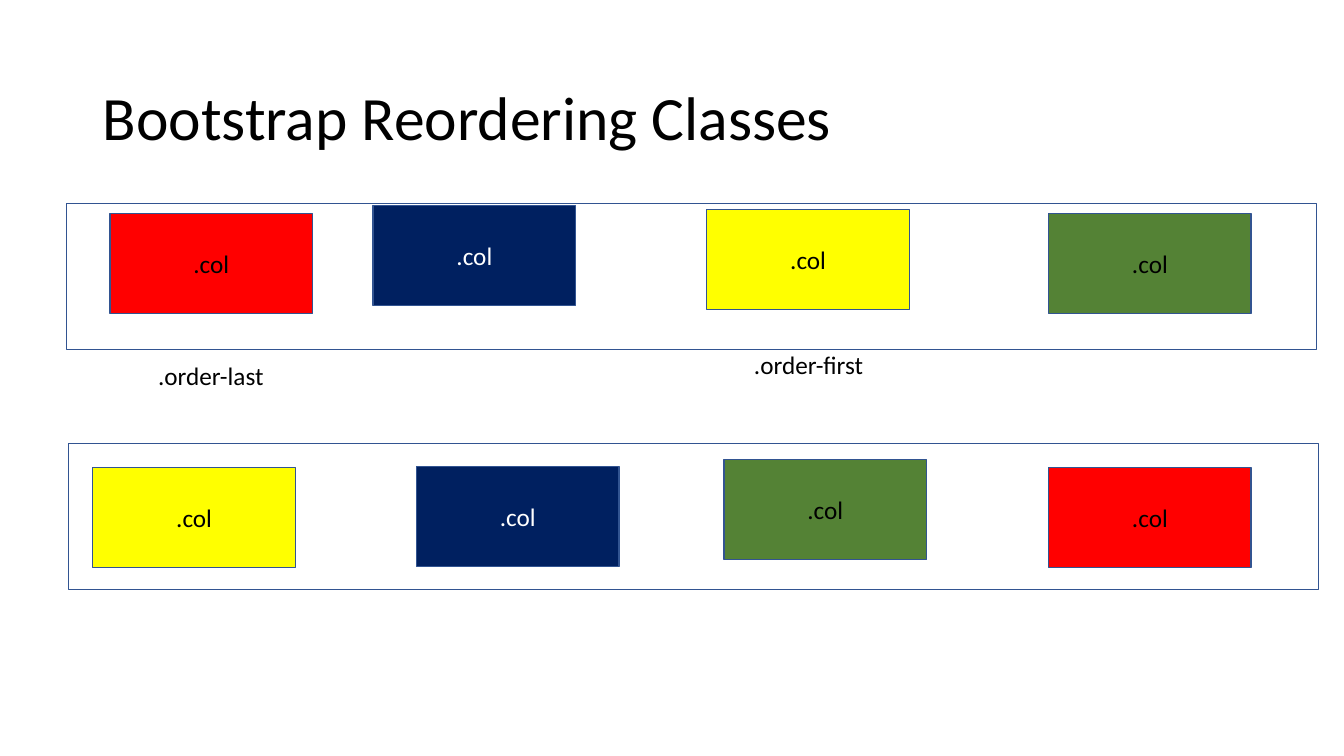
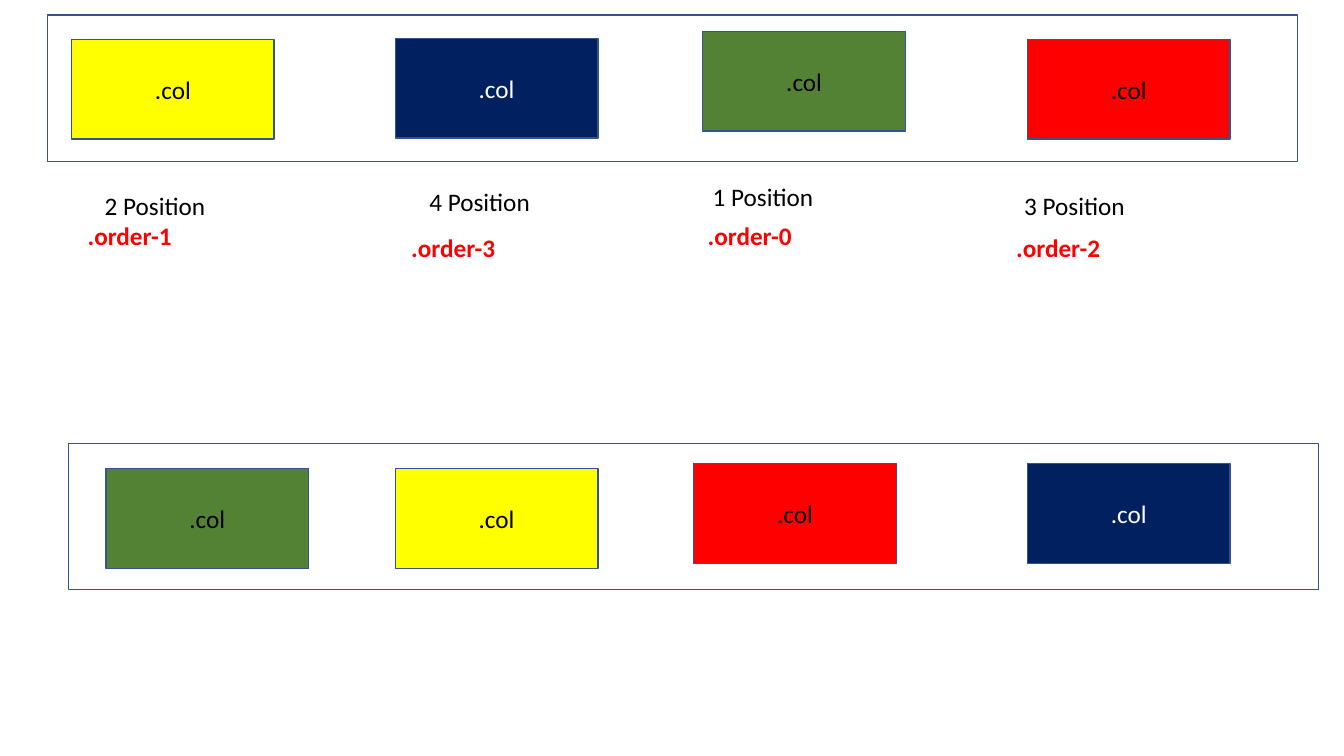
from dataclasses import dataclass

from pptx import Presentation
from pptx import util as u
from pptx.dml.color import RGBColor
from pptx.enum import shapes, text


@dataclass(frozen=True)
class Theme:
    """Colours, font and type sizes shared by the slides."""
    font: str = "Calibri"
    title_size: int = 44
    body_size: int = 18
    black: str = "000000"
    white: str = "FFFFFF"
    outline: str = "325491"
    red: str = "FF0000"
    navy: str = "002060"
    yellow: str = "FFFF00"
    green: str = "548235"


THEME = Theme()
ROW_SIZE = (12.4, 1.45)
COLUMN_SIZE = (2.01, 0.99)
LABEL_HEIGHT = 0.4
LOWER_ROW = (0.68, 4.4)

SOURCE_ORDER = [
    (THEME.red, 0.43, 0.1),
    (THEME.navy, 3.04, 0.02),
    (THEME.yellow, 6.35, 0.06),
    (THEME.green, 9.74, 0.1),
]
FIRST_LAST_ORDER = [
    (THEME.yellow, 0.24, 0.24),
    (THEME.navy, 3.45, 0.23),
    (THEME.green, 6.5, 0.16),
    (THEME.red, 9.72, 0.24),
]
NUMBERED_ORDER = [
    (THEME.green, 0.37, 0.25),
    (THEME.yellow, 3.24, 0.25),
    (THEME.red, 6.2, 0.2),
    (THEME.navy, 9.51, 0.2),
]
KEYWORD_LABELS = [
    (".order-last", 0.81, 1.51, 1.27),
    (".order-first", 6.72, 1.4, 1.3),
]
POSITION_LABELS = [
    ("2 Position", 0.47, 1.69),
    ("4 Position", 3.69, 1.65),
    ("1 Position", 6.5, 1.6),
    ("3 Position", 9.59, 1.69),
]
ORDER_LABELS = [
    (".order-1", 0.3, 1.99),
    (".order-3", 3.51, 2.11),
    (".order-0", 6.45, 1.99),
    (".order-2", 9.51, 2.11),
]


def inches(*lengths):
    """Convert numbers to lengths in inches."""
    return [u.Inches(length) for length in lengths]


def write(shape, words, color=THEME.black, size=THEME.body_size, bold=False):
    """Put one styled paragraph into a shape and return it."""
    paragraph = shape.text_frame.paragraphs[0]
    paragraph.text = words
    paragraph.font.name = THEME.font
    paragraph.font.size = u.Pt(size)
    paragraph.font.bold = bold
    paragraph.font.color.rgb = RGBColor.from_string(color)
    return paragraph


def add_title(slide, words, left, top, width, height):
    """Add the slide title, centred vertically in its box."""
    title = slide.shapes.add_textbox(*inches(left, top, width, height))
    title.text_frame.word_wrap = True
    title.text_frame.vertical_anchor = text.MSO_ANCHOR.MIDDLE
    write(title, words, size=THEME.title_size).line_spacing = 0.9


def add_label(slide, words, left, top, width, wrap=True, **style):
    """Add a one-line label."""
    label = slide.shapes.add_textbox(*inches(left, top, width, LABEL_HEIGHT))
    label.text_frame.word_wrap = wrap
    label.text_frame.auto_size = text.MSO_AUTO_SIZE.SHAPE_TO_FIT_TEXT
    write(label, words, **style)


def add_box(slide, left, top, size, fill=None):
    """Add an outlined rectangle, filled when a colour is given."""
    box = slide.shapes.add_shape(
        shapes.MSO_SHAPE.RECTANGLE, *inches(left, top, *size))
    box.shadow.inherit = False
    box.line.color.rgb = RGBColor.from_string(THEME.outline)
    box.line.width = u.Pt(1)
    if fill:
        box.fill.solid()
        box.fill.fore_color.rgb = RGBColor.from_string(fill)
    else:
        box.fill.background()
    return box


def add_row(slide, left, top, columns):
    """Draw a row frame and its columns, placed relative to the frame."""
    add_box(slide, left, top, ROW_SIZE)
    for fill, across, down in columns:
        column = add_box(slide, left + across, top + down, COLUMN_SIZE, fill)
        column.text_frame.vertical_anchor = text.MSO_ANCHOR.MIDDLE
        color = THEME.white if fill == THEME.navy else THEME.black
        write(column, ".col", color).alignment = text.PP_ALIGN.CENTER


def build_keyword_slide(slide):
    """Show reordering with the first and last classes."""
    left, top = 0.66, 2.02
    add_title(slide, "Bootstrap Reordering Classes", 0.92, 0.47, 11.5, 1.45)
    add_row(slide, left, top, SOURCE_ORDER)
    add_row(slide, *LOWER_ROW, FIRST_LAST_ORDER)
    for words, across, down, width in KEYWORD_LABELS:
        add_label(slide, words, left + across, top + down, width, wrap=False)


def build_numbered_slide(slide):
    """Show reordering with numbered classes."""
    left, top = 0.47, 0.15
    add_row(slide, left, top, FIRST_LAST_ORDER)
    add_row(slide, *LOWER_ROW, NUMBERED_ORDER)
    for words, across, down in POSITION_LABELS:
        add_label(slide, words, left + across, top + down, 1.78)
    for words, across, down in ORDER_LABELS:
        add_label(slide, words, left + across, top + down, 1.95,
                  color=THEME.red, bold=True)


def main():
    """Build and save the presentation."""
    presentation = Presentation()
    presentation.slide_width, presentation.slide_height = inches(13.33, 7.5)
    blank = presentation.slide_layouts[6]
    for build in (build_keyword_slide, build_numbered_slide):
        build(presentation.slides.add_slide(blank))
    presentation.save("out.pptx")


if __name__ == "__main__":
    main()
